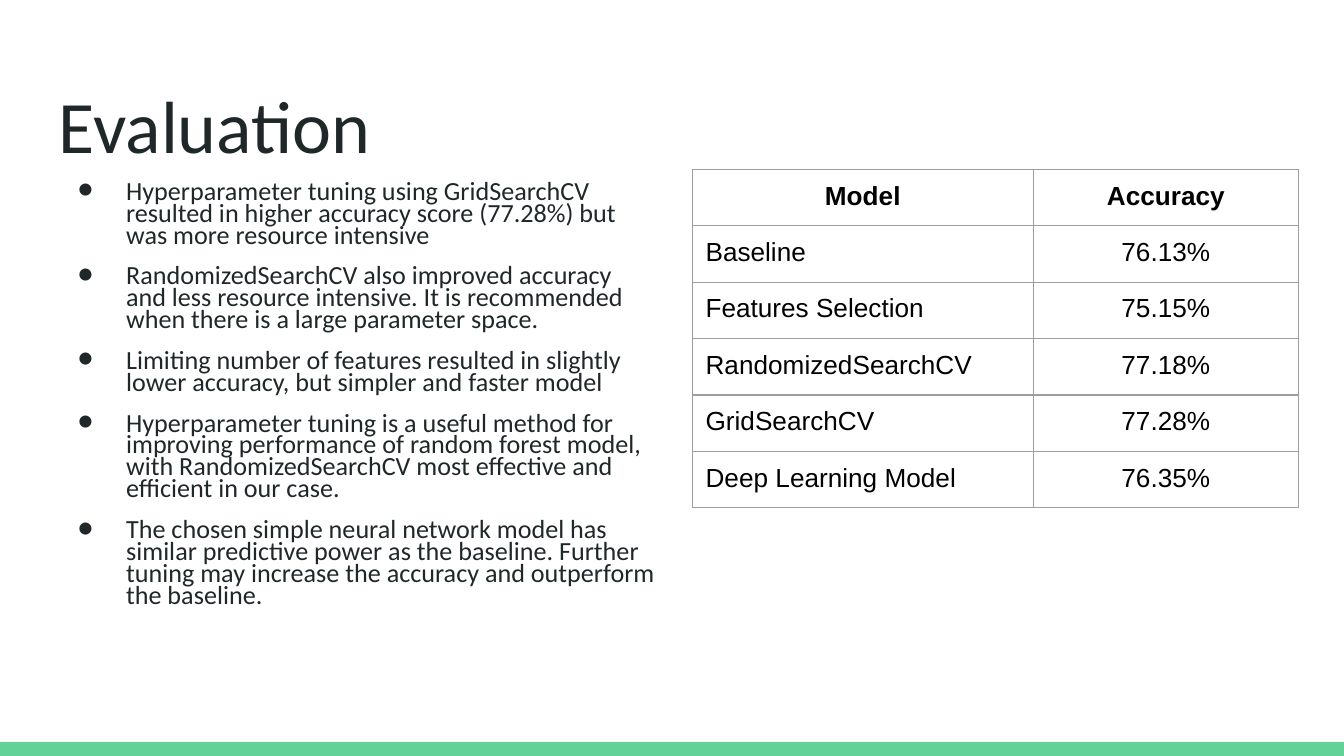
from lxml import etree
from pptx import Presentation
from pptx.dml.color import RGBColor as RGB
from pptx.enum.shapes import MSO_SHAPE as Shape
from pptx.enum.text import MSO_ANCHOR as Anchor, PP_ALIGN as Align
from pptx.oxml.ns import qn
from pptx.util import Inches, Pt

COLORS = {"ink": "202729", "black": "000000", "white": "FFFFFF",
          "green": "63D297", "rule": "9E9E9E"}

POINTS = [
    "Hyperparameter tuning using GridSearchCV resulted in higher accuracy "
    "score (77.28%) but was more resource intensive",
    "RandomizedSearchCV also improved accuracy and less resource intensive. "
    "It is recommended when there is a large parameter space.",
    "Limiting number of features resulted in slightly lower accuracy, "
    "but simpler and faster model",
    "Hyperparameter tuning is a useful method for improving performance of "
    "random forest model, with RandomizedSearchCV most effective and "
    "efficient in our case.",
    "The chosen simple neural network model has similar predictive power as "
    "the baseline. Further tuning may increase the accuracy and outperform "
    "the baseline.",
]
SCORES = [
    ("Model", "Accuracy"),
    ("Baseline", "76.13%"),
    ("Features Selection", "75.15%"),
    ("RandomizedSearchCV", "77.18%"),
    ("GridSearchCV", "77.28%"),
    ("Deep Learning Model", "76.35%"),
]


def color(name):
    return RGB.from_string(COLORS[name])


def add_run(para, text, size, face, ink, bold=False):
    run = para.add_run()
    run.text = text
    font = run.font
    font.size, font.name, font.bold = Pt(size), face, bold
    font.color.rgb = color(ink)


def set_pad(item, side=0.1, top=0.1):
    item.margin_left = item.margin_right = Inches(side)
    item.margin_top = item.margin_bottom = Inches(top)


def add_frame(slide, x, y, w, h):
    box = slide.shapes.add_textbox(Inches(x), Inches(y), Inches(w), Inches(h))
    frame = box.text_frame
    frame.word_wrap = True
    frame.vertical_anchor = Anchor.TOP
    set_pad(frame)
    return frame


def set_bullet(para):
    props = para._p.get_or_add_pPr()
    props.set("marL", str(Inches(0.5)))
    props.set("indent", str(Inches(-0.36)))
    tint = etree.SubElement(props, qn("a:buClr"))
    etree.SubElement(tint, qn("a:srgbClr"), val=COLORS["ink"])
    etree.SubElement(props, qn("a:buSzPts"), val="1400")
    etree.SubElement(props, qn("a:buFont"), typeface="Calibri")
    etree.SubElement(props, qn("a:buChar"), char="●")


def set_border(cell):
    props = cell._tc.get_or_add_tcPr()
    for i, side in enumerate(("lnL", "lnR", "lnT", "lnB")):
        line = etree.Element(qn(f"a:{side}"), w=str(Pt(0.75)))
        fill = etree.SubElement(line, qn("a:solidFill"))
        etree.SubElement(fill, qn("a:srgbClr"), val=COLORS["rule"])
        props.insert(i, line)


def add_band(slide, x, y, w, h):
    band = slide.shapes.add_shape(Shape.RECTANGLE, Inches(x), Inches(y),
                                  Inches(w), Inches(h))
    band.shadow.inherit = False
    band.fill.solid()
    band.fill.fore_color.rgb = color("green")
    band.line.fill.background()


def add_title(slide, x, y, w, h):
    frame = add_frame(slide, x, y, w, h)
    add_run(frame.paragraphs[0], "Evaluation", 39.6, "Calibri", "ink")


def add_points(slide, x, y, w, h):
    frame = add_frame(slide, x, y, w, h)
    for i, text in enumerate(POINTS):
        para = frame.add_paragraph() if i else frame.paragraphs[0]
        para.line_spacing = 0.7
        para.space_before = Pt(10)
        set_bullet(para)
        add_run(para, text, 14, "Calibri", "ink")


def add_scores(slide, x, y, w, h):
    table = slide.shapes.add_table(len(SCORES), 2, Inches(x), Inches(y),
                                   Inches(w), Inches(h)).table
    first = 2.54
    for col, width in zip(table.columns, (first, w - first)):
        col.width = Inches(width)
    for r, values in enumerate(SCORES):
        table.rows[r].height = Inches(h / len(SCORES))
        for c, text in enumerate(values):
            cell = table.cell(r, c)
            # Slimmer top and bottom keep the rows at their set height
            set_pad(cell, top=0.09)
            cell.fill.solid()
            cell.fill.fore_color.rgb = color("white")
            set_border(cell)
            para = cell.text_frame.paragraphs[0]
            head = r == 0
            para.alignment = Align.CENTER if head or c else Align.LEFT
            add_run(para, text, 14, "Arial", "black", bold=head)


def main():
    deck = Presentation()
    deck.slide_width = Inches(10)
    deck.slide_height = deck.slide_width * 9 // 16
    slide = deck.slides.add_slide(deck.slide_layouts[6])
    back = slide.background.fill
    back.solid()
    back.fore_color.rgb = color("white")

    # Footer band and title
    add_band(slide, 0, 5.52, 10, 0.11)
    add_title(slide, 0.34, 0.49, 9.32, 0.63)

    # Findings on the left, scores on the right
    add_points(slide, 0.34, 1.26, 4.64, 4.11)
    add_scores(slide, 5.15, 1.26, 4.51, 2.52)

    deck.save("out.pptx")


if __name__ == "__main__":
    main()
